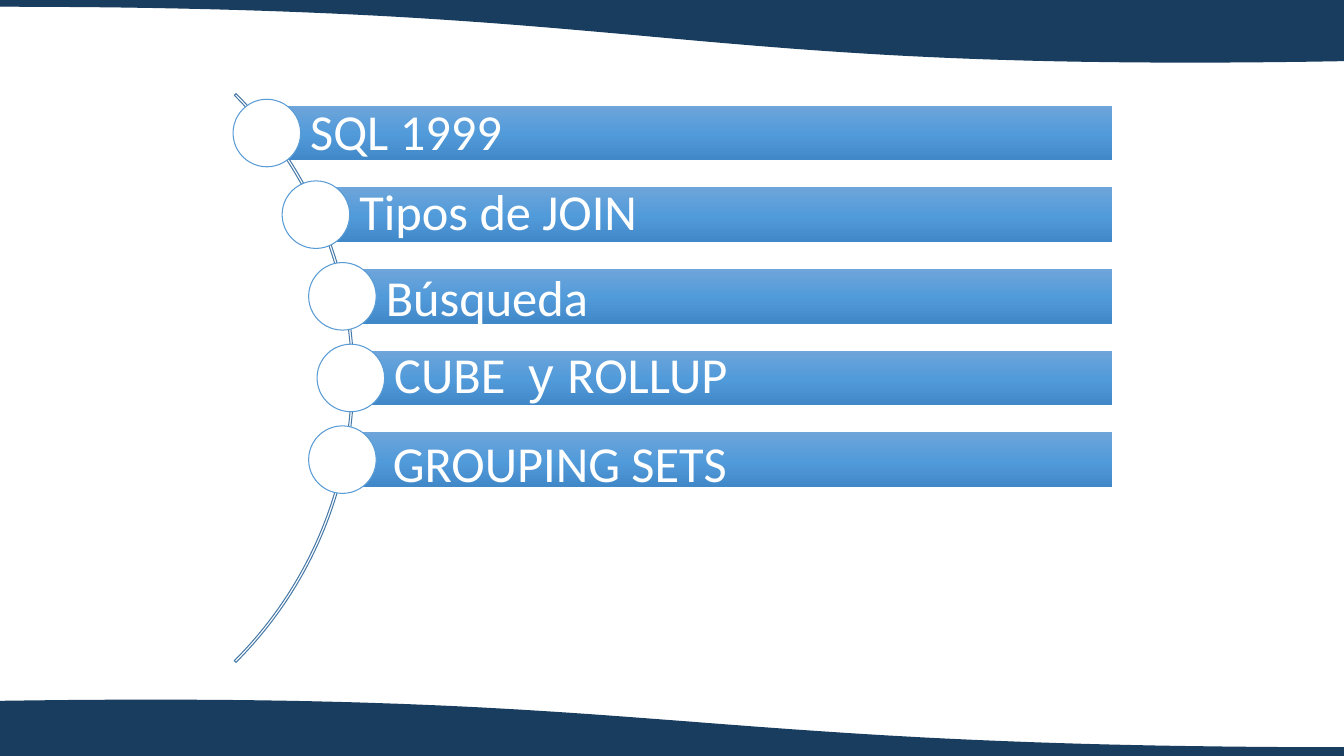
from copy import deepcopy
from math import sqrt

from pptx import Presentation
from pptx.dml.color import RGBColor
from pptx.enum.shapes import MSO_SHAPE
from pptx.enum.text import MSO_ANCHOR
from pptx.oxml.ns import qn
from pptx.util import Inches, Pt

COLORS = {
    "navy": "183D5E",
    "white": "FFFFFF",
    "arc": "487AA8",
    "circle": "599BD5",
    "bar_top": "6EA5DA",
    "bar_middle": "529BDA",
    "bar_bottom": "4188C8",
}
WIDTH, HEIGHT = 13.33, 7.5
ARC_X, ARC_Y, ARC_RADIUS = -0.48, 3.75, 3.99
BAR_RADIUS, BAR_RIGHT, BAR_HEIGHT = 3.96, 11.03, 0.54
FIRST_TOP, PITCH = 1.05, 0.81
CIRCLE = 0.67
TOPICS = [
    ([("SQL 1999", "Calibri")], 0, 0.01),
    ([("Tipos de JOIN", "Calibri")], 0, 0),
    ([("Búsqueda", "Calibri")], 0, 0.04),
    ([("CUBE  ", "Calibri"), ("y ", "Arial"), ("ROLLUP", "Calibri")], 0, -0.01),
    ([("GROUPING SETS", "Calibri")], 0.07, 0.07),
]


def bezier(start, control_1, control_2, end, steps=60):
    points = []
    for step in range(steps + 1):
        t = step / steps
        weights = ((1 - t) ** 3, 3 * t * (1 - t) ** 2, 3 * t * t * (1 - t), t ** 3)
        corners = (start, control_1, control_2, end)
        points.append(tuple(sum(w * c[axis] for w, c in zip(weights, corners))
                            for axis in (0, 1)))
    return points


class SlideBuilder:
    def __init__(self, slide):
        self.slide = slide

    def color(self, name):
        return RGBColor.from_string(COLORS[name])

    def style(self, shape, fill=None, line=None, line_width=0.75):
        shape.shadow.inherit = False
        if fill:
            shape.fill.solid()
            shape.fill.fore_color.rgb = self.color(fill)
        else:
            shape.fill.background()
        if line:
            shape.line.color.rgb = self.color(line)
            shape.line.width = Pt(line_width)
        else:
            shape.line.fill.background()

    def preset(self, kind, left, top, width, height, **style):
        shape = self.slide.shapes.add_shape(
            kind, Inches(left), Inches(top), Inches(width), Inches(height))
        self.style(shape, **style)
        return shape

    def wave(self, edge_y, curve):
        points = [(WIDTH, edge_y), (0, edge_y)] + bezier(*curve)
        scaled = [(Inches(x), Inches(y)) for x, y in points]
        builder = self.slide.shapes.build_freeform(*scaled[0])
        builder.add_line_segments(scaled[1:], close=True)
        self.style(builder.convert_to_shape(), "navy", "navy", 1)

    def arc(self):
        size = 2 * ARC_RADIUS
        shape = self.preset(MSO_SHAPE.BLOCK_ARC, ARC_X - ARC_RADIUS,
                            ARC_Y - ARC_RADIUS, size, size, line="arc")
        for index, value in enumerate((189, 27, 0.003)):
            shape.adjustments[index] = value

    def bar(self, left, top):
        shape = self.preset(MSO_SHAPE.RECTANGLE, left, top,
                            BAR_RIGHT - left, BAR_HEIGHT)
        shape.fill.gradient()
        shape.fill.gradient_angle = 270
        stop_list = shape._element.spPr.find(qn("a:gradFill")).find(qn("a:gsLst"))
        stop_list.insert(1, deepcopy(stop_list[0]))
        names = ("bar_top", "bar_middle", "bar_bottom")
        for index, (stop, name) in enumerate(zip(shape.fill.gradient_stops, names)):
            stop.position = index / 2
            stop.color.rgb = self.color(name)

    def circle(self, left, top):
        self.preset(MSO_SHAPE.OVAL, left, top, CIRCLE, CIRCLE,
                    fill="white", line="circle")

    def label(self, runs, left, top):
        box = self.slide.shapes.add_textbox(
            Inches(left), Inches(top), Inches(BAR_RIGHT - left), Inches(BAR_HEIGHT))
        frame = box.text_frame
        frame.word_wrap = True
        frame.vertical_anchor = MSO_ANCHOR.MIDDLE
        frame.margin_left = Inches(0.43)
        frame.margin_right = frame.margin_top = frame.margin_bottom = Inches(0.1)
        paragraph = frame.paragraphs[0]
        paragraph.line_spacing = 0.9
        paragraph.font.size = Pt(36)
        paragraph.font.color.rgb = self.color("white")
        paragraph.font.name = runs[0][1]
        for text, font_name in runs:
            run = paragraph.add_run()
            run.text = text
            if font_name != paragraph.font.name:
                run.font.name = font_name


def main():
    presentation = Presentation()
    presentation.slide_width = Inches(WIDTH)
    presentation.slide_height = Inches(HEIGHT)
    builder = SlideBuilder(presentation.slides.add_slide(presentation.slide_layouts[6]))

    middle = WIDTH / 2
    builder.wave(-0.03, ((0, 0.06), (middle, 0.06), (middle, 0.72), (WIDTH, 0.6)))
    builder.wave(HEIGHT, ((0, 6.96), (middle, 6.86), (middle, 7.42), (WIDTH, 7.42)))
    builder.arc()

    for index, (runs, shift_x, shift_y) in enumerate(TOPICS):
        top = FIRST_TOP + index * PITCH
        center_y = top + BAR_HEIGHT / 2
        left = ARC_X + sqrt(BAR_RADIUS ** 2 - (center_y - ARC_Y) ** 2)
        builder.bar(left, top)
        builder.circle(left - CIRCLE / 2, center_y - CIRCLE / 2)
        builder.label(runs, left + shift_x, top + shift_y)

    presentation.save("out.pptx")


if __name__ == "__main__":
    main()
